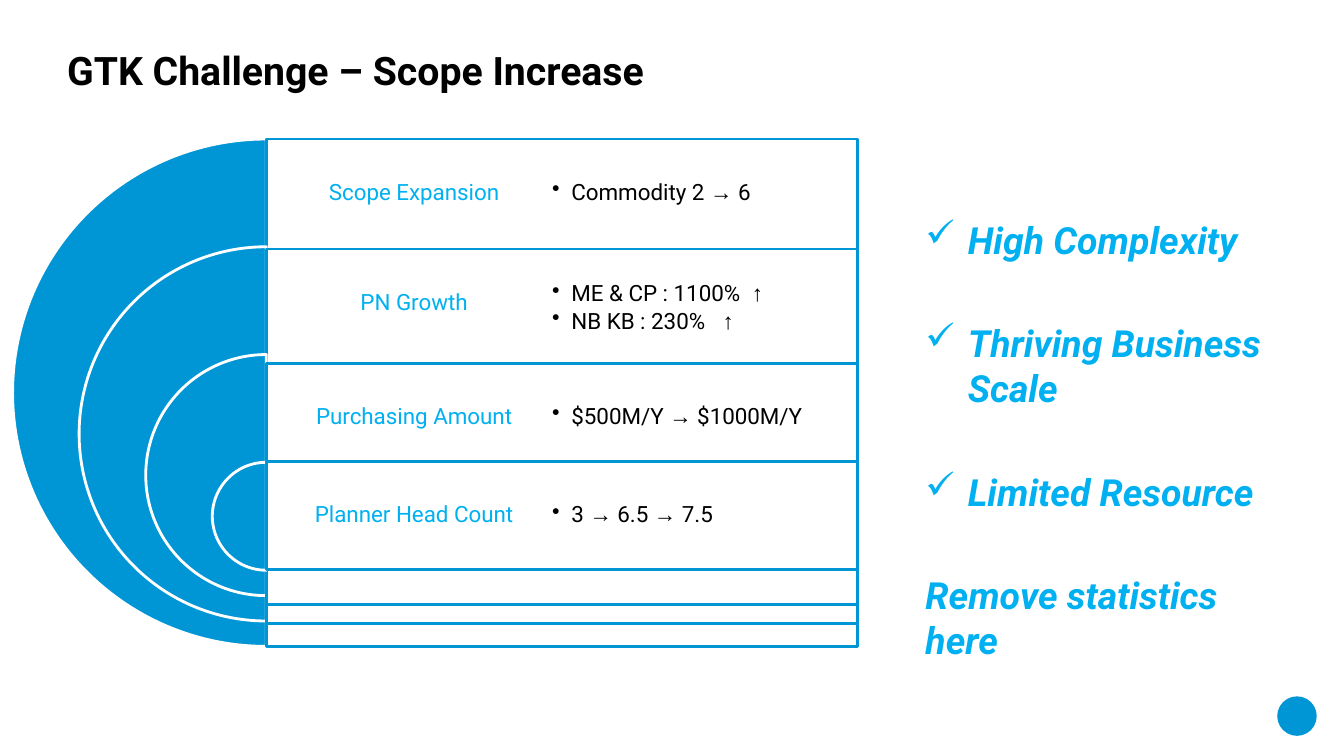
from itertools import groupby

from lxml import etree
from pptx import Presentation
from pptx.dml.color import RGBColor
from pptx.enum.shapes import MSO_SHAPE
from pptx.enum.text import MSO_ANCHOR, PP_ALIGN
from pptx.oxml.ns import qn
from pptx.util import Inches, Pt

PIE, RECT, OVAL = MSO_SHAPE.PIE, MSO_SHAPE.RECTANGLE, MSO_SHAPE.OVAL
TOP, MIDDLE, BOTTOM = MSO_ANCHOR.TOP, MSO_ANCHOR.MIDDLE, MSO_ANCHOR.BOTTOM
LEFT, CENTER = PP_ALIGN.LEFT, PP_ALIGN.CENTER

COLORS = {"blue": "0096D6", "sky": "00B0F0", "black": "000000", "white": "FFFFFF"}
ARROWS = "→↑"


class Deck:
    """Style and current slide; lengths are cells of a 160 by 90 grid."""

    font, arrow_font = "Roboto", "Times New Roman"
    columns, rows = 160, 90

    def __init__(self):
        self.prs = Presentation()
        self.prs.slide_width, self.prs.slide_height = Inches(13.33), Inches(7.5)
        self.slide = self.prs.slides.add_slide(self.prs.slide_layouts[6])

    def x(self, cells):
        return int(self.prs.slide_width * cells / self.columns)

    def y(self, cells):
        return int(self.prs.slide_height * cells / self.rows)

    def frame(self, left, top, width, height):
        return self.x(left), self.y(top), self.x(width), self.y(height)

    def color(self, name):
        return RGBColor.from_string(COLORS[name])

    def shape(self, kind, box, fill, line=None, opacity=None):
        sp = self.slide.shapes.add_shape(kind, *self.frame(*box))
        sp.shadow.inherit = False
        sp.fill.solid()
        sp.fill.fore_color.rgb = self.color(fill)
        if opacity:
            rgb = sp.fill._xPr.find(".//" + qn("a:srgbClr"))
            etree.SubElement(rgb, qn("a:alpha"), val=str(opacity * 1000))
        if line:
            sp.line.color.rgb = self.color(line)
            sp.line.width = Pt(2)
        else:
            sp.line.fill.background()
        return sp

    def half_disc(self, box):
        sp = self.shape(PIE, box, "blue", "white")
        sp.adjustments[0], sp.adjustments[1] = 54, 162

    def text(self, box, lines, size, color, anchor=MIDDLE, align=LEFT, inset=(0, 0),
             spacing=0.9, after=0, bold=False, italic=False):
        """Each line is (text, bullet, indent in inches, tab stop in inches)."""
        tf = self.slide.shapes.add_textbox(*self.frame(*box)).text_frame
        tf.word_wrap = True
        tf.vertical_anchor = anchor
        tf.margin_left = tf.margin_right = Inches(inset[0])
        tf.margin_top = tf.margin_bottom = Inches(inset[1])
        for i, (words, bullet, indent, tab) in enumerate(lines):
            p = tf.add_paragraph() if i else tf.paragraphs[0]
            p.alignment, p.line_spacing, p.space_after = align, spacing, Pt(after)
            self.bullet_and_tab(p, bullet, indent, tab)
            for is_arrow, chars in groupby(words, lambda c: c in ARROWS):
                r = p.add_run()
                r.text = "".join(chars)
                r.font.name = self.arrow_font if is_arrow else self.font
                r.font.size = Pt(size)
                r.font.bold, r.font.italic = bold, italic
                r.font.color.rgb = self.color(color)

    def bullet_and_tab(self, p, bullet, indent, tab):
        pPr = p._p.get_or_add_pPr()
        if bullet:
            pPr.set("marL", str(Inches(indent)))
            pPr.set("indent", str(-Inches(indent)))
            etree.SubElement(pPr, qn("a:buChar"), char=bullet)
        if tab:
            tabs = etree.SubElement(pPr, qn("a:tabLst"))
            etree.SubElement(tabs, qn("a:tab"), pos=str(Inches(tab)), algn="l")


# label, row top, detail top, details with their tab stops
SCOPE_ROWS = [
    ("Scope Expansion", 16.55, 16.55, [("Commodity 2 → 6", None)]),
    ("PN Growth", 29.65, 30.25, [("ME & CP : 1100%\t↑", 1.98), ("NB KB : 230%\t↑", 1.69)]),
    ("Purchasing Amount", 43.3, 43.2, [("$500M/Y → $1000M/Y", None)]),
    ("Planner Head Count", 54.95, 54.95, [("3 → 6.5 → 7.5", None)]),
]
CHECKS = ["High Complexity", "Thriving Business Scale", "Limited Resource"]
AXIS, ROW_HEIGHT = 31.7, 12.85


def main():
    deck = Deck()
    deck.shape(OVAL, (152.05, 82.9, 4.7, 4.7), "blue")
    deck.text((8, 3.85, 144, 7.3), [("GTK Challenge – Scope Increase", None, 0, None)],
              28, "black", anchor=BOTTOM, bold=True)

    for i, (label, top, detail_top, details) in enumerate(SCOPE_ROWS):
        size = 60.4 - 15.85 * i
        deck.half_disc((AXIS - size / 2, 16.55 + 12.83 * i, size, size))
        deck.shape(RECT, (AXIS, top, 70.4, size), "white", "blue", opacity=90)
        deck.text((AXIS, top, 35.2, ROW_HEIGHT), [(label, None, 0, None)],
                  16, "sky", align=CENTER, inset=(0.07, 0.07))
        deck.text((62.5, detail_top, 43.8, ROW_HEIGHT),
                  [(words, "•", 0.19, tab) for words, tab in details],
                  16, "black", inset=(0.27, 0.27), after=2.4)

    checks = [(words, "✓", 0.42, None) for words in CHECKS]
    deck.text((109, 25.2, 46, 55.6), checks + [("Remove statistics here", None, 0, None)],
              26.7, "sky", anchor=TOP, inset=(0.1, 0.05), spacing=1, after=42,
              bold=True, italic=True)
    deck.prs.save("out.pptx")


if __name__ == "__main__":
    main()
